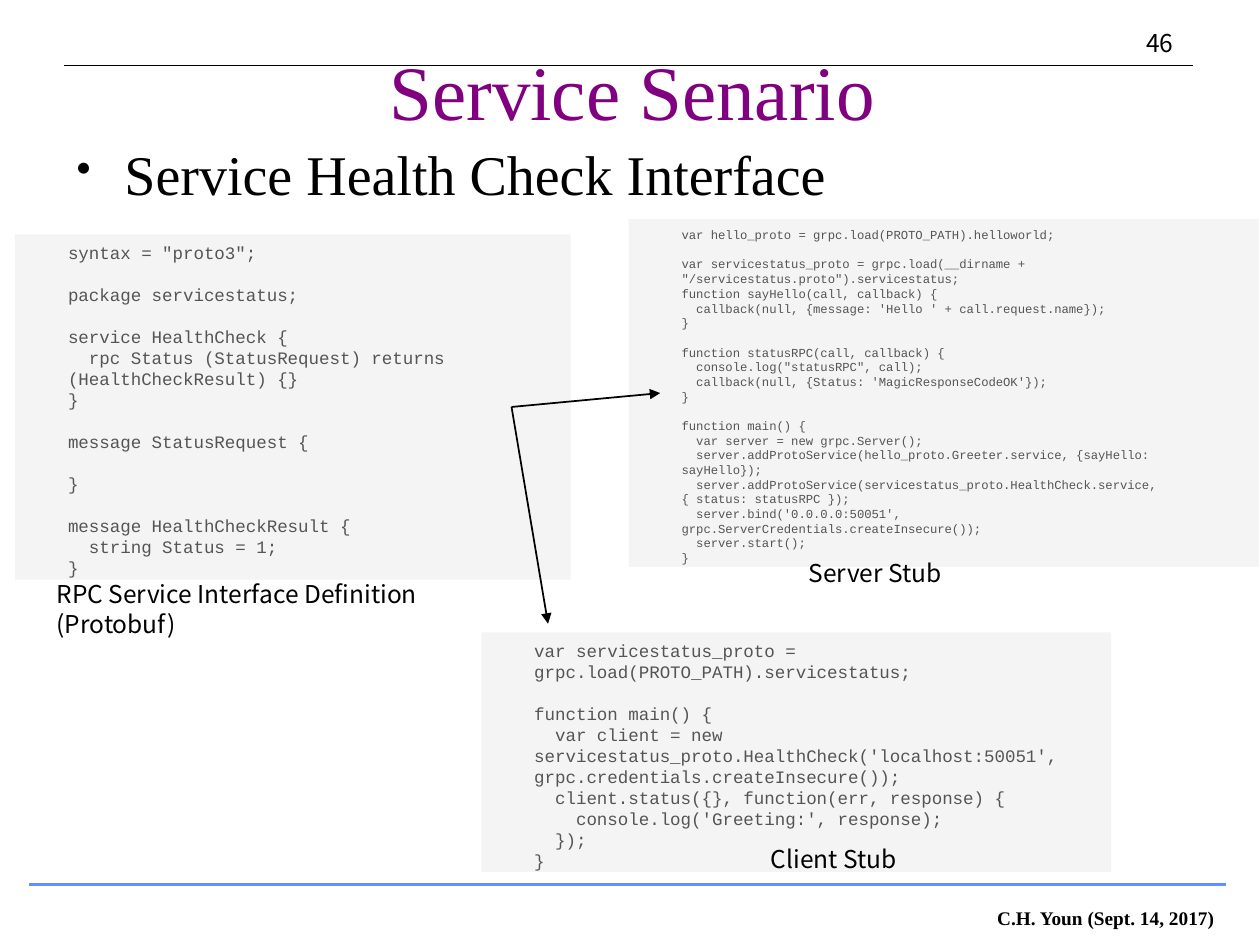
from dataclasses import dataclass

from lxml.etree import SubElement
from pptx import Presentation
from pptx.dml.color import RGBColor
from pptx.enum.shapes import MSO_CONNECTOR as Connector
from pptx.enum.shapes import MSO_SHAPE as Shape
from pptx.enum.text import MSO_ANCHOR as Anchor
from pptx.enum.text import PP_ALIGN as Align
from pptx.oxml.ns import qn
from pptx.util import Inches, Pt


@dataclass(frozen=True)
class Theme:
    black: str = "000000"
    title: str = "800080"
    rule: str = "618FFD"
    code: str = "555555"
    panel: str = "F4F4F4"
    serif: str = "Times New Roman"
    sans: str = "Noto Sans CJK KR"
    mono: str = "Courier New"
    title_size: float = 44
    body_size: float = 32
    label_size: float = 14
    footer_size: float = 11
    code_size: float = 10
    small_code_size: float = 7
    code_leading: float = 1.2


INTERFACE_CODE = """syntax = "proto3";

package servicestatus;

service HealthCheck {
  rpc Status (StatusRequest) returns (HealthCheckResult) {}
}

message StatusRequest {

}

message HealthCheckResult {
  string Status = 1;
}"""

SERVER_CODE = """var hello_proto = grpc.load(PROTO_PATH).helloworld;

var servicestatus_proto = grpc.load(__dirname + "/servicestatus.proto").servicestatus;
function sayHello(call, callback) {
  callback(null, {message: 'Hello ' + call.request.name});
}

function statusRPC(call, callback) {
  console.log("statusRPC", call);
  callback(null, {Status: 'MagicResponseCodeOK'});
}

function main() {
  var server = new grpc.Server();
  server.addProtoService(hello_proto.Greeter.service, {sayHello: sayHello});
  server.addProtoService(servicestatus_proto.HealthCheck.service, { status: statusRPC });
  server.bind('0.0.0.0:50051', grpc.ServerCredentials.createInsecure());
  server.start();
}"""

CLIENT_CODE = """var servicestatus_proto = grpc.load(PROTO_PATH).servicestatus;

function main() {
  var client = new servicestatus_proto.HealthCheck('localhost:50051', grpc.credentials.createInsecure());
  client.status({}, function(err, response) {
    console.log('Greeting:', response);
  });
}"""


class SlideBuilder:
    def __init__(self, slide, theme):
        self.slide = slide
        self.theme = theme

    def style(self, paragraph, name, size, color, bold=False):
        font = paragraph.font
        font.name, font.size, font.bold = name, Pt(size), bold
        font.color.rgb = RGBColor.from_string(color)

    def text(self, box, words, size, name=None, color=None, bold=False,
             align=Align.LEFT, anchor=Anchor.TOP, bullet=False):
        shape = self.slide.shapes.add_textbox(*map(Inches, box))
        frame = shape.text_frame
        frame.word_wrap = True
        frame.vertical_anchor = anchor
        paragraph = frame.paragraphs[0]
        paragraph.text = words
        paragraph.alignment = align
        if bullet:
            self.bullet(paragraph)
        self.style(paragraph, name or self.theme.sans, size,
                   color or self.theme.black, bold)

    def bullet(self, paragraph):
        properties = paragraph._p.get_or_add_pPr()
        indent = Inches(0.38)
        properties.set("marL", str(indent))
        properties.set("indent", str(-indent))
        SubElement(properties, qn("a:buSzPct"), val="75000")
        SubElement(properties, qn("a:buChar"), char="•")

    def code(self, box, source, size):
        shape = self.slide.shapes.add_shape(Shape.RECTANGLE, *map(Inches, box))
        shape.shadow.inherit = False
        shape.fill.solid()
        shape.fill.fore_color.rgb = RGBColor.from_string(self.theme.panel)
        shape.line.fill.background()
        frame = shape.text_frame
        frame.word_wrap = True
        frame.vertical_anchor = Anchor.MIDDLE
        frame.margin_left = frame.margin_right = Inches(0.42)
        frame.margin_top, frame.margin_bottom = Inches(0.05), 0
        leading = Pt(size * self.theme.code_leading)
        paragraph, gap = frame.paragraphs[0], 0
        for number, line in enumerate(source.splitlines()):
            if not line:
                gap += leading
                continue
            if number:
                paragraph = frame.add_paragraph()
            paragraph.text = line
            paragraph.alignment = Align.LEFT
            paragraph.line_spacing = leading
            paragraph.space_before = gap
            self.style(paragraph, self.theme.mono, size, self.theme.code)
            gap = 0

    def line(self, start, end, width, color=None, arrow=False):
        connector = self.slide.shapes.add_connector(
            Connector.STRAIGHT, *map(Inches, start + end))
        connector.line.width = Pt(width)
        connector.line.color.rgb = RGBColor.from_string(color or self.theme.black)
        if arrow:
            SubElement(connector.line._get_or_add_ln(), qn("a:tailEnd"), type="triangle")
        SubElement(connector._element.spPr, qn("a:effectLst"))


def main():
    presentation = Presentation()
    presentation.slide_width, presentation.slide_height = Inches(10), Inches(7.5)
    theme = Theme()
    slide = presentation.slides.add_slide(presentation.slide_layouts[6])
    builder = SlideBuilder(slide, theme)

    builder.line((0.51, 0.52), (9.47, 0.52), 0.75)
    builder.text((9, 0.17, 0.5, 0.33), "46", theme.label_size)
    builder.line((0.23, 7.02), (9.73, 7.02), 2, theme.rule)
    builder.text((7.68, 7.14, 2.19, 0.28), "C.H. Youn (Sept. 14, 2017)",
                 theme.footer_size, theme.serif, bold=True, align=Align.CENTER)
    builder.text((0.77, 0.09, 8.5, 1.25), "Service Senario", theme.title_size,
                 theme.serif, theme.title, align=Align.CENTER, anchor=Anchor.MIDDLE)
    builder.text((0.51, 1.06, 8.5, 4.5), "Service Health Check Interface",
                 theme.body_size, theme.serif, bullet=True)

    builder.code((0.12, 1.86, 4.41, 2.74), INTERFACE_CODE, theme.code_size)
    builder.code((4.99, 1.74, 5, 2.76), SERVER_CODE, theme.small_code_size)
    builder.code((3.82, 5.02, 5, 1.9), CLIENT_CODE, theme.code_size)

    for stub in ((5.24, 3.12), (4.35, 4.95)):
        builder.line((4.06, 3.23), stub, 1, arrow=True)

    for left, top, height, words in (
        (0.35, 4.55, 0.57, "RPC Service Interface Definition (Protobuf)"),
        (6.32, 4.38, 0.34, "Server Stub"),
        (6.02, 6.65, 0.34, "Client Stub"),
    ):
        builder.text((left, top, 3.51, height), words, theme.label_size)

    presentation.save("out.pptx")


if __name__ == "__main__":
    main()
